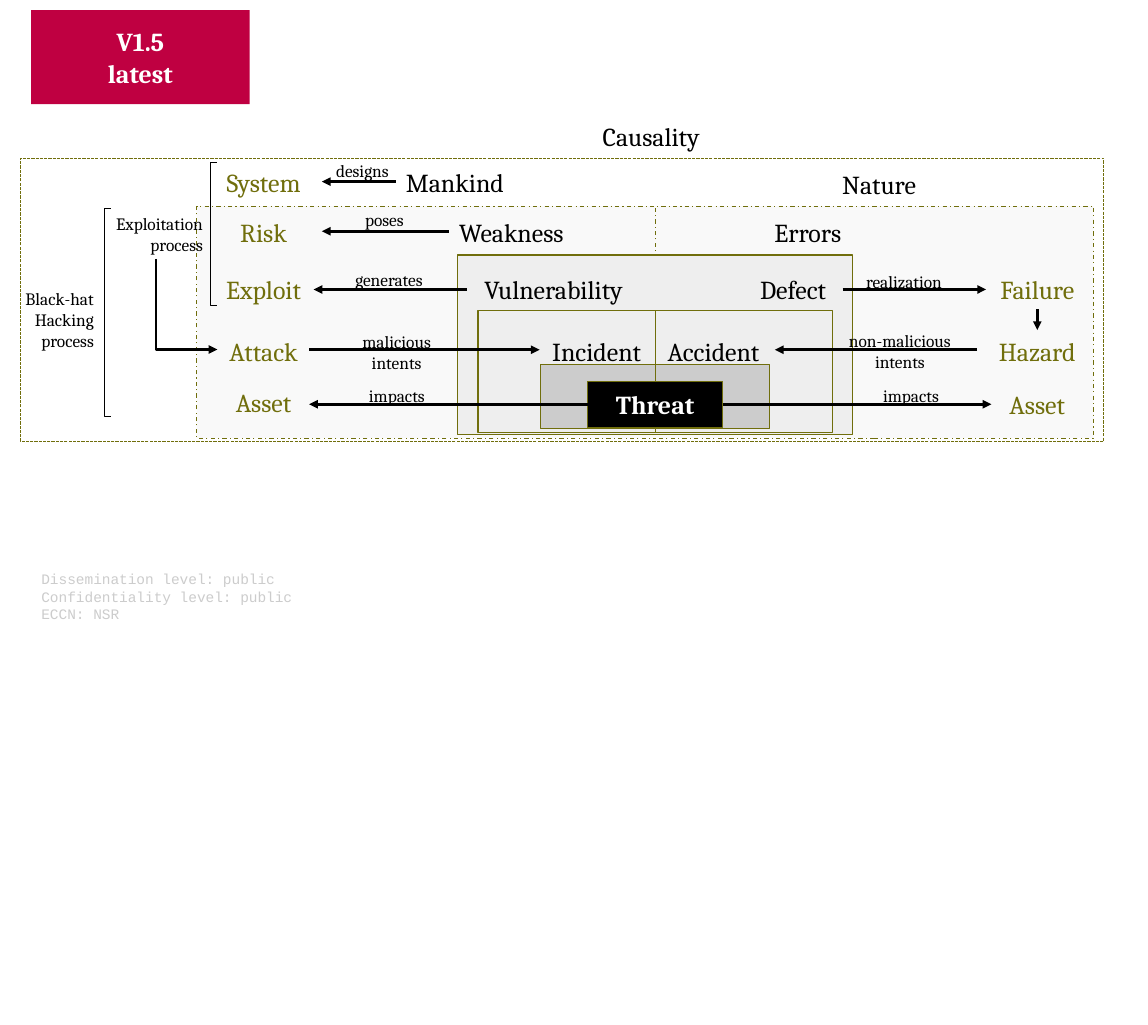
from pptx import Presentation
from pptx import util as u
from pptx.dml.color import RGBColor
from pptx.enum import dml, shapes, text
from pptx.oxml.ns import qn
from lxml import etree

OLIVE, BLACK, WHITE, GRAY, RED = "706E0C", "000000", "FFFFFF", "CCCCCC", "BF0041"
LEFT, CENTER, RIGHT = text.PP_ALIGN.LEFT, text.PP_ALIGN.CENTER, text.PP_ALIGN.RIGHT
TERM = {"size": u.Pt(17.9), "name": "Cambria"}
LABEL = {"size": u.Pt(12), "name": "Cambria"}
NOTE = {"size": u.Pt(10), "name": "Courier New"}
TITLE = {**TERM, "bold": True}


def rgb(value):
    return RGBColor.from_string(value)


def write(sp, wording, font, color, align):
    tf = sp.text_frame
    tf.word_wrap = True
    for i, line in enumerate(wording.split("\n")):
        p = tf.paragraphs[0] if i == 0 else tf.add_paragraph()
        p.alignment = align
        r = p.add_run()
        r.text = line
        r.font.color.rgb = rgb(color)
        for key, value in font.items():
            setattr(r.font, key, value)


prs = Presentation()
prs.slide_width, prs.slide_height = u.Cm(28), u.Cm(25)
s = prs.slides.add_slide(prs.slide_layouts[6])

middle = 15.98
outer_dash, inner_dash = dml.MSO_LINE.SQUARE_DOT, dml.MSO_LINE.DASH_DOT
frames = [
    (0.5, 3.86, 26.42, 6.91, WHITE, OLIVE, outer_dash, ""),
    (4.8, 5.03, 11.18, 5.66, "F9F9F9", OLIVE, inner_dash, ""),
    (middle, 5.03, 10.69, 5.66, "F9F9F9", OLIVE, inner_dash, ""),
    (11.15, 6.22, 9.65, 4.39, "EEEEEE", OLIVE, None, ""),
    (middle - 4.32, 7.57, 4.32, 2.97, "EEEEEE", OLIVE, None, ""),
    (middle, 7.57, 4.32, 2.97, "EEEEEE", OLIVE, None, ""),
    (middle - 2.8, 8.89, 2.8, 1.57, GRAY, OLIVE, None, ""),
    (middle, 8.89, 2.8, 1.57, GRAY, OLIVE, None, ""),
    (14.33, 9.3, 3.3, 1.12, BLACK, OLIVE, None, "Threat"),
    (0.76, 0.25, 5.33, 2.29, RED, None, None, "V1.5\nlatest"),
]
for x, y, w, h, fill, line, dash, wording in frames:
    sp = s.shapes.add_shape(shapes.MSO_SHAPE.RECTANGLE, u.Cm(x), u.Cm(y), u.Cm(w), u.Cm(h))
    sp.shadow.inherit = False
    sp.fill.solid()
    sp.fill.fore_color.rgb = rgb(fill)
    if line:
        sp.line.color.rgb = rgb(line)
        sp.line.width = 0
        sp.line.dash_style = dash
    else:
        sp.line.fill.background()
    if wording:
        write(sp, wording, TITLE, WHITE, CENTER)
        sp.text_frame.vertical_anchor = text.MSO_ANCHOR.MIDDLE

for x, y, h in [(5.13, 3.96, 3.5), (2.54, 5.08, 5.08)]:
    sp = s.shapes.add_shape(shapes.MSO_SHAPE.LEFT_BRACKET, u.Cm(x), u.Cm(y), u.Cm(0.16), u.Cm(h))
    sp.adjustments[0] = 0
    sp.shadow.inherit = False
    sp.fill.background()
    sp.line.color.rgb = rgb(BLACK)
    sp.line.width = 0

STRAIGHT, ELBOW = shapes.MSO_CONNECTOR.STRAIGHT, shapes.MSO_CONNECTOR.ELBOW
arrows = [
    (STRAIGHT, 9.65, 4.43, 7.85, 4.43),
    (STRAIGHT, 10.95, 5.64, 7.85, 5.64),
    (STRAIGHT, 11.38, 7.06, 7.65, 7.06),
    (STRAIGHT, 20.55, 7.06, 24.05, 7.06),
    (STRAIGHT, 25.3, 7.54, 25.3, 8.05),
    (STRAIGHT, 7.54, 8.53, 13.16, 8.53),
    (STRAIGHT, 23.83, 8.53, 18.9, 8.53),
    (STRAIGHT, 14.33, 9.86, 7.54, 9.86),
    (STRAIGHT, 17.63, 9.86, 24.18, 9.86),
    (ELBOW, 3.45, 6.67, 5.66, 8.17),
]
for kind, x1, y1, x2, y2 in arrows:
    c = s.shapes.add_connector(kind, u.Cm(x1), u.Cm(y1), u.Cm(x2), u.Cm(y2))
    c.line.color.rgb = rgb(BLACK)
    c.line.width = 0
    spPr = c._element.spPr
    etree.SubElement(spPr.find(qn("a:ln")), qn("a:tailEnd"), type="triangle")
    etree.SubElement(spPr, qn("a:effectLst"))
    if kind == ELBOW:
        spPr.find(qn("a:prstGeom")).set("prst", "bentConnector2")
        spPr.find(qn("a:xfrm")).set("rot", "16200000")
        spPr.find(qn("a:xfrm")).set("flipH", "1")

texts = [
    ("Causality", 14.45, 2.82, 3.05, TERM, BLACK, LEFT),
    ("Mankind", 9.65, 3.94, 3.05, TERM, BLACK, LEFT),
    ("Nature", 20.29, 3.99, 2.54, TERM, BLACK, LEFT),
    ("Weakness", 10.95, 5.16, 3.3, TERM, BLACK, LEFT),
    ("Errors", 18.64, 5.16, 2.39, TERM, BLACK, LEFT),
    ("Vulnerability", 11.38, 6.55, 4.06, TERM, BLACK, RIGHT),
    ("Defect", 18.29, 6.55, 2.26, TERM, BLACK, LEFT),
    ("Incident", 13.16, 8.05, 2.79, TERM, BLACK, CENTER),
    ("Accident", 15.93, 8.05, 2.95, TERM, BLACK, CENTER),
    ("designs", 7.57, 3.78, 2.54, LABEL, BLACK, CENTER),
    ("poses", 6.96, 4.98, 4.83, LABEL, BLACK, CENTER),
    ("generates", 7.7, 6.43, 3.58, LABEL, BLACK, CENTER),
    ("realization", 20.27, 6.5, 3.56, LABEL, BLACK, CENTER),
    ("malicious\nintents", 8.2, 7.95, 2.95, LABEL, BLACK, CENTER),
    ("non-malicious\nintents", 20.3, 7.92, 3.3, LABEL, BLACK, CENTER),
    ("impacts", 8.59, 9.27, 2.18, LABEL, BLACK, CENTER),
    ("impacts", 21.13, 9.27, 2.18, LABEL, BLACK, CENTER),
    ("Exploitation\nprocess", 2.41, 5.08, 2.79, LABEL, BLACK, RIGHT),
    ("Black-hat\nHacking\nprocess", 0, 6.91, 2.54, LABEL, BLACK, RIGHT),
    ("Dissemination level: public\nConfidentiality level: public\nECCN: NSR",
     0.76, 13.79, 14.76, NOTE, GRAY, LEFT),
]
left_column = [("System", 3.94), ("Risk", 5.16), ("Exploit", 6.55), ("Attack", 8.05), ("Asset", 9.3)]
right_column = [("Failure", 6.55), ("Hazard", 8.05), ("Asset", 9.35)]
for x, column in [(4.96, left_column), (23.83, right_column)]:
    texts += [(term, x, y, 2.94, TERM, OLIVE, CENTER) for term, y in column]

for wording, x, y, w, font, color, align in texts:
    lines = wording.count("\n") + 1
    h = 0.25 + lines * font["size"].cm * 1.17
    sp = s.shapes.add_textbox(u.Cm(x), u.Cm(y), u.Cm(w), u.Cm(h))
    write(sp, wording, font, color, align)

prs.save("out.pptx")
